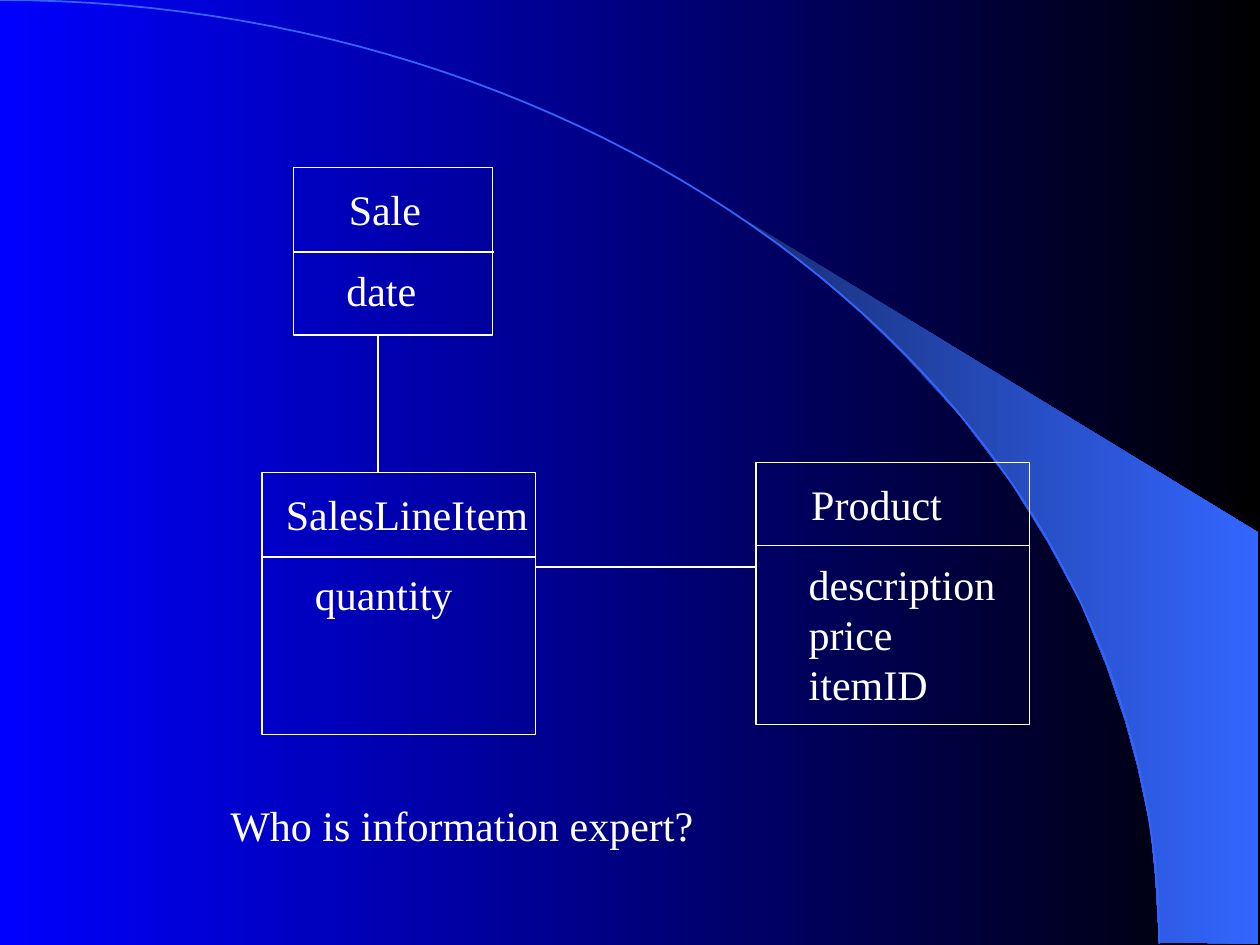
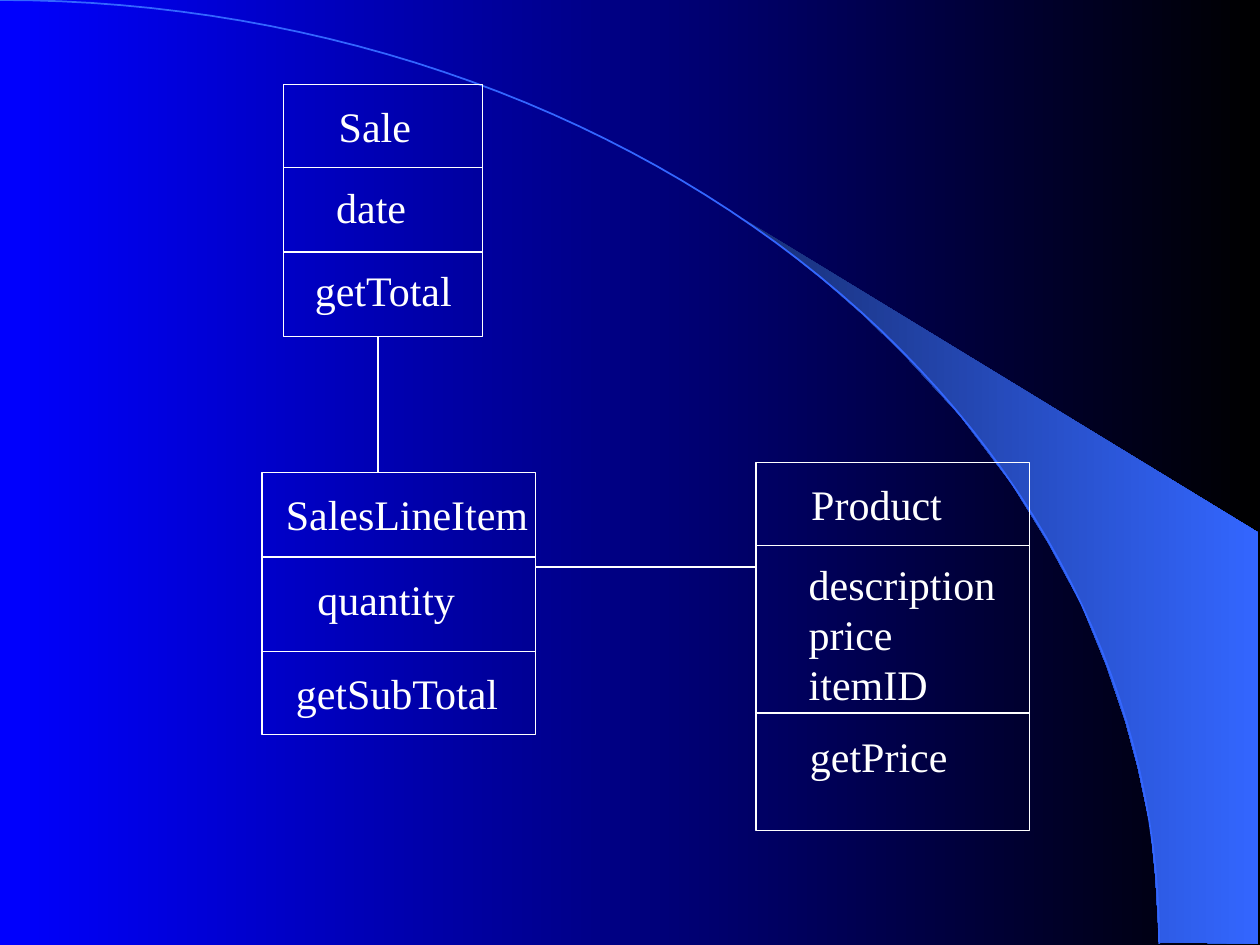
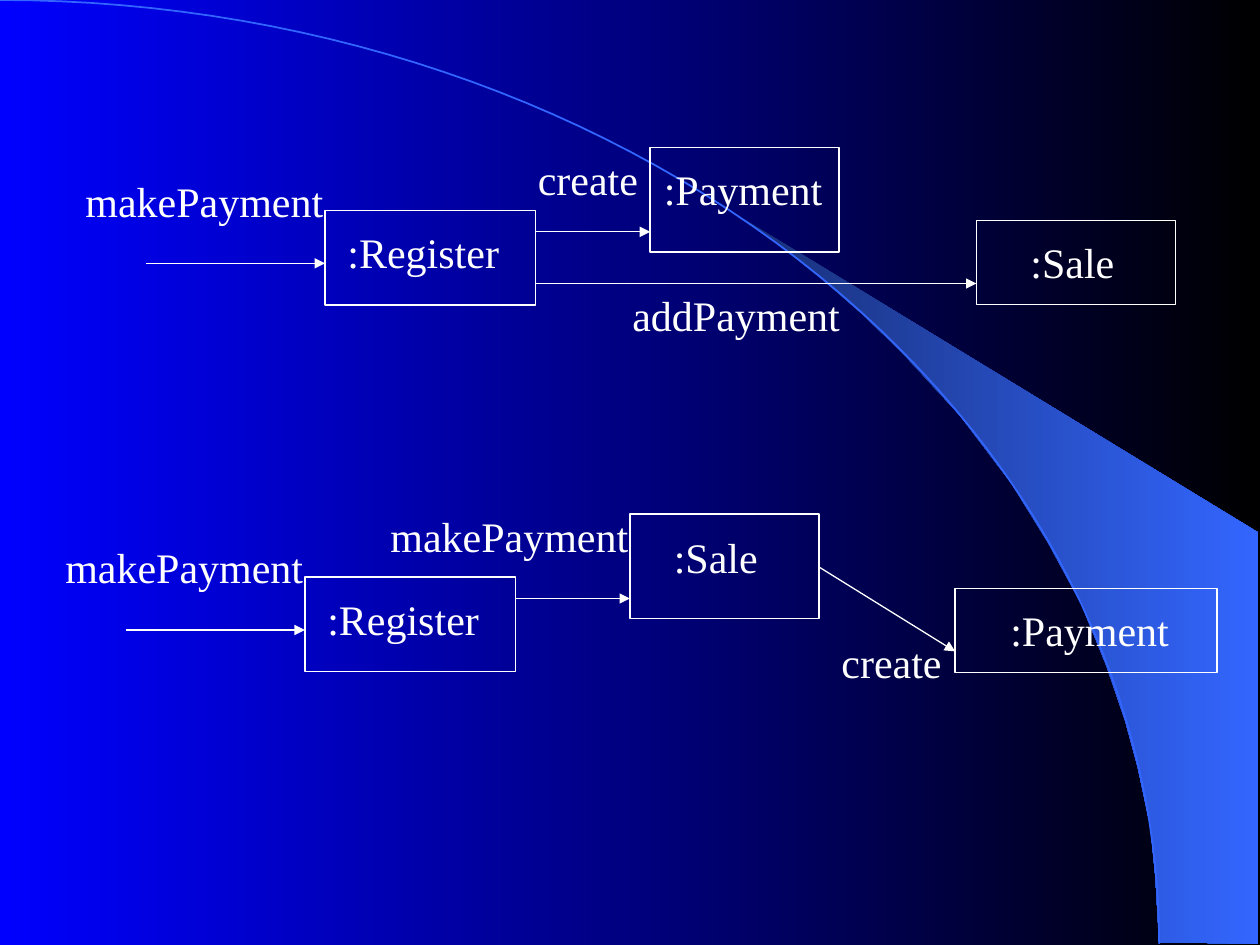
from math import cos, pi, sin

from pptx import Presentation
from pptx.dml.color import RGBColor
from pptx.enum.shapes import MSO_CONNECTOR as Link, MSO_SHAPE as Preset
from pptx.enum.text import MSO_AUTO_SIZE as AutoSize
from pptx.oxml.ns import qn
from pptx.util import Inches, Pt
from lxml.etree import SubElement

WHITE = RGBColor(0xFF, 0xFF, 0xFF)
BLACK = RGBColor(0, 0, 0)
BLUE = RGBColor(0, 0, 0xFF)
NAVY = RGBColor(0x18, 0x2F, 0x76)
AZURE = RGBColor(0x33, 0x66, 0xFF)

FONT = {"name": "Times New Roman", "size": Pt(24)}
FRAME = {"word_wrap": False, "auto_size": AutoSize.NONE, "margin_right": 0}
LINE_HEIGHT = 0.4
TEXT_PADDING = 0.1
ARC_WIDTH, ARC_HEIGHT, ARC_STEPS = 9.2, 7.49, 60
FIN = [
    (9.2, 7.48), (9.99, 7.49), (9.99, 4.23), (5.89, 1.73), (6.24, 1.99),
    (6.53, 2.22), (6.85, 2.5), (7.16, 2.8), (7.62, 3.3), (8.03, 3.84),
    (8.32, 4.31), (8.58, 4.79), (8.78, 5.28), (8.93, 5.72), (9.03, 6.09),
    (9.13, 6.56), (9.17, 6.96),
]


def apply_format(target, values):
    for name, value in values.items():
        setattr(target, name, value)


def paint_gradient(fill, *colors):
    fill.gradient()
    fill.gradient_angle = 0
    for stop, color in zip(fill.gradient_stops, colors):
        stop.color.rgb = color


class Sketch:
    """Hold the deck style and draw elements on the current page."""

    def __init__(self):
        self.deck = Presentation()
        apply_format(self.deck, {"slide_width": Inches(10), "slide_height": Inches(7.5)})
        self.page = None

    def new_page(self):
        self.page = self.deck.slides.add_slide(self.deck.slide_layouts[6])

    def stroke(self, line, color=WHITE, width=0.75):
        line.color.rgb = color
        line.width = Pt(width)

    def outline(self, points, close):
        start, *rest = [(Inches(x), Inches(y)) for x, y in points]
        builder = self.page.shapes.build_freeform(*start)
        builder.add_line_segments(rest, close=close)
        shape = builder.convert_to_shape()
        shape.shadow.inherit = False
        return shape

    def backdrop(self):
        master = self.deck.slide_master
        paint_gradient(master.background.fill, BLUE, BLACK)
        fin = self.outline(FIN, close=True)
        paint_gradient(fin.fill, NAVY, AZURE)
        fin.line.fill.background()
        angles = [pi / 2 * step / ARC_STEPS for step in range(ARC_STEPS + 1)]
        arc = self.outline(
            [(ARC_WIDTH * sin(angle), ARC_HEIGHT * (1 - cos(angle))) for angle in angles],
            close=False)
        arc.fill.background()
        self.stroke(arc.line, AZURE, 1)
        for shape in (fin, arc):
            master.element.cSld.spTree.append(shape.element)

    def box(self, *place):
        shape = self.page.shapes.add_shape(Preset.RECTANGLE, *map(Inches, place))
        shape.shadow.inherit = False
        shape.fill.background()
        self.stroke(shape.line)

    def label(self, text, left, top, width):
        lines = text.split("\n")
        height = TEXT_PADDING + LINE_HEIGHT * len(lines)
        box = self.page.shapes.add_textbox(*map(Inches, (left, top, width, height)))
        frame = box.text_frame
        apply_format(frame, FRAME)
        for number, line in enumerate(lines):
            para = frame.add_paragraph() if number else frame.paragraphs[0]
            span = para.add_run()
            span.text = line
            apply_format(span.font, FONT)
            span.font.color.rgb = WHITE

    def link(self, *ends, arrow=False):
        line = self.page.shapes.add_connector(Link.STRAIGHT, *map(Inches, ends))
        self.stroke(line.line)
        SubElement(line.element.spPr, qn("a:effectLst"))
        if arrow:
            SubElement(line.get_or_add_ln(), qn("a:tailEnd"), type="triangle")


def draw_classes(sketch, sale_left, sale_top, sale_height, product_height):
    sketch.box(sale_left, sale_top, 1.58, sale_height)
    sketch.label("Sale", sale_left + 0.34, sale_top + 0.08, 0.77)
    sketch.label("date", sale_left + 0.32, sale_top + 0.72, 0.75)
    sketch.box(6, 3.67, 2.17, product_height)
    sketch.label("Product", 6.34, 3.75, 1.23)
    sketch.label("description\nprice\nitemID", 6.32, 4.38, 1.68)
    sketch.box(2.08, 3.75, 2.17, 2.08)
    sketch.label("SalesLineItem", 2.17, 3.83, 2.12)
    sketch.link(4.25, 4.5, 6, 4.5)
    sketch.link(3, 3.75, 3, 2.67)


def draw_attributes_page(sketch):
    draw_classes(sketch, 2.33, 1.33, 1.33, 2.08)
    for left, top, right in ((2.33, 2, 3.92), (6, 4.33, 8.17), (2.08, 4.42, 4.25)):
        sketch.link(left, top, right, top)
    sketch.label("quantity", 2.4, 4.46, 1.29)
    sketch.label("Who is information expert?", 1.73, 6.3, 3.87)


def draw_methods_page(sketch):
    draw_classes(sketch, 2.25, 0.67, 2, 2.92)
    for compartment in ((2.25, 1.33, 1.58, 0.67), (2.08, 4.42, 2.17, 0.75),
                        (6, 4.33, 2.17, 1.33)):
        sketch.box(*compartment)
    for text, *place in (("quantity", 2.42, 4.5, 1.29), ("getTotal", 2.4, 2.05, 1.31),
                         ("getSubTotal", 2.25, 5.25, 1.83), ("getPrice", 6.33, 5.75, 1.29)):
        sketch.label(text, *place)


def draw_register(sketch, left, top):
    sketch.box(left, top, 1.67, 0.75)
    sketch.label(":Register", left + 0.08, top + 0.08, 1.4)
    sketch.label("makePayment", left - 2, top - 0.33, 2.09)
    sketch.link(left - 1.42, top + 0.42, left, top + 0.42, arrow=True)
    sketch.box(left + 2.58, top - 0.5, 1.5, 0.83)
    sketch.link(left + 1.67, top + 0.17, left + 2.58, top + 0.17, arrow=True)


def draw_payment_page(sketch):
    draw_register(sketch, 2.58, 1.67)
    sketch.box(7.75, 1.75, 1.58, 0.67)
    sketch.link(4.25, 2.25, 7.75, 2.25, arrow=True)
    draw_register(sketch, 2.42, 4.58)
    sketch.box(7.58, 4.67, 2.08, 0.67)
    sketch.link(6.5, 4.5, 7.58, 5.17, arrow=True)
    for text, *place in (
            (":Sale", 8.08, 1.83, 0.86), (":Payment", 5.17, 1.25, 1.46),
            ("create", 4.17, 1.17, 0.99), ("addPayment", 4.92, 2.25, 1.85),
            (":Payment", 7.92, 4.75, 1.46), (":Sale", 5.25, 4.17, 0.86),
            ("makePayment", 3, 4, 2.09), ("create", 6.58, 5, 0.99)):
        sketch.label(text, *place)


def main():
    sketch = Sketch()
    for number, draw in enumerate((draw_attributes_page, draw_methods_page, draw_payment_page)):
        sketch.new_page()
        if number == 0:
            sketch.backdrop()
        draw(sketch)
    sketch.deck.save("out.pptx")


if __name__ == "__main__":
    main()
